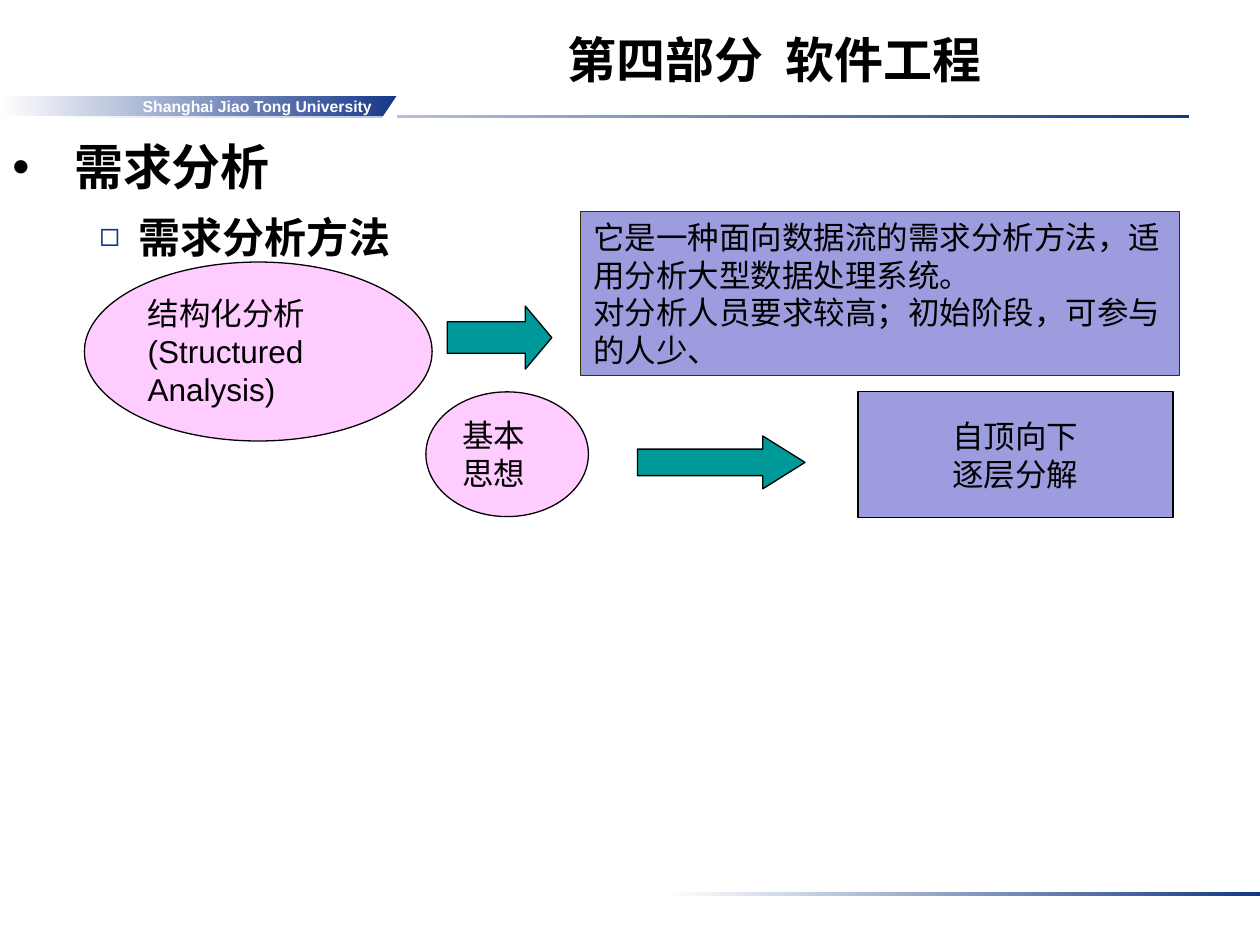
from lxml import etree
from pptx import Presentation
from pptx.dml.color import RGBColor
from pptx.enum.shapes import MSO_SHAPE as Shape
from pptx.enum.text import MSO_ANCHOR as Anchor, MSO_AUTO_SIZE as AutoSize, PP_ALIGN as Align
from pptx.oxml.ns import qn
from pptx.util import Inches, Pt

WHITE = RGBColor(0xFF, 0xFF, 0xFF)
BLACK = RGBColor(0x00, 0x00, 0x00)
NAVY = RGBColor(0x16, 0x38, 0x8A)
RULE_BLUE = RGBColor(0x13, 0x39, 0x84)
PINK = RGBColor(0xFF, 0xCC, 0xFF)
LAVENDER = RGBColor(0x9C, 0x9C, 0xDF)
TEAL = RGBColor(0x00, 0x99, 0x99)
OLIVE = RGBColor(0x33, 0x33, 0x00)

LATIN_FONT = "Arial"
CHINESE_FONT = "Noto Sans CJK SC"


def write(paragraph, text, size=18, bold=False, color=BLACK, font=LATIN_FONT,
          align=Align.LEFT):
    paragraph.alignment = align
    run = paragraph.add_run()
    run.text = text
    run.font.size = Pt(size)
    run.font.bold = bold
    run.font.color.rgb = color
    run.font.name = font
    east_asian = etree.SubElement(run.font._element, qn("a:ea"))
    east_asian.set("typeface", CHINESE_FONT)


def write_lines(frame, lines, anchor=Anchor.TOP, wrap=True, **text_format):
    frame.word_wrap = wrap
    frame.vertical_anchor = anchor
    for index, line in enumerate(lines):
        paragraph = frame.add_paragraph() if index else frame.paragraphs[0]
        write(paragraph, line, **text_format)


def add_figure(slide, kind, box, fill, line=BLACK):
    shape = slide.shapes.add_shape(kind, *map(Inches, box))
    shape.shadow.inherit = False
    shape.fill.solid()
    shape.fill.fore_color.rgb = fill
    if line is None:
        shape.line.fill.background()
    else:
        shape.line.color.rgb = line
        shape.line.width = Pt(0.75)
    return shape


def add_fading_bar(slide, box, color):
    """Add a bar that runs from white on the left to the given colour."""
    shape = add_figure(slide, Shape.RECTANGLE, box, color, line=None)
    shape.fill.gradient()
    shape.fill.gradient_angle = 0
    for stop, stop_color, position in zip(shape.fill.gradient_stops, (WHITE, color), (0, 1)):
        stop.color.rgb = stop_color
        stop.position = position
    return shape


def add_arrow(slide, box, head):
    arrow = add_figure(slide, Shape.RIGHT_ARROW, box, TEAL)
    arrow.adjustments[0] = 0.5
    arrow.adjustments[1] = head


def add_frame_decoration(slide):
    add_fading_bar(slide, (0.31, 0.91, 9.13, 0.03), RULE_BLUE)
    add_fading_bar(slide, (5.28, 7.08, 4.72, 0.03), RULE_BLUE)
    banner = add_fading_bar(slide, (0, 0.76, 3.15, 0.16), NAVY)
    banner.text_frame.margin_right = Inches(0.2)
    write_lines(banner.text_frame, ["Shanghai Jiao Tong University"], Anchor.MIDDLE,
                wrap=False, size=9, bold=True, color=WHITE, align=Align.RIGHT)
    corner = add_figure(slide, Shape.RIGHT_TRIANGLE, (3.03, 0.76, 0.12, 0.18), WHITE, line=None)
    corner._element.spPr.xfrm.set("flipH", "1")


def set_title(slide, text):
    title = slide.shapes.title
    title.left, title.top, title.width, title.height = map(Inches, (2.59, 0, 7.11, 0.75))
    title.text_frame.auto_size = AutoSize.NONE
    write_lines(title.text_frame, [text], Anchor.BOTTOM, size=28, bold=True,
                align=Align.CENTER)


def set_bullet(paragraph, mark, color, left, hanging, percent=100):
    properties = paragraph._element.get_or_add_pPr()
    properties.set("marL", str(Inches(left)))
    properties.set("indent", str(-Inches(hanging)))
    bullet_color = etree.SubElement(properties, qn("a:buClr"))
    etree.SubElement(bullet_color, qn("a:srgbClr")).set("val", str(color))
    etree.SubElement(properties, qn("a:buSzPct")).set("val", str(percent * 1000))
    etree.SubElement(properties, qn("a:buFont")).set("typeface", LATIN_FONT)
    etree.SubElement(properties, qn("a:buChar")).set("char", mark)


def add_outline(slide):
    frame = slide.shapes.add_textbox(*map(Inches, (0, 0.99, 9.25, 5.7))).text_frame
    frame.word_wrap = True
    topic = frame.paragraphs[0]
    subtopic = frame.add_paragraph()
    subtopic.level = 1
    subtopic.space_before = Pt(6)
    topic.line_spacing = subtopic.line_spacing = 1.1
    set_bullet(topic, "•", BLACK, 0.49, 0.49)
    set_bullet(subtopic, "◻", NAVY, 1, 0.31, percent=80)
    write(topic, "需求分析", size=28, bold=True)
    write(subtopic, "需求分析方法", size=24, bold=True, font=CHINESE_FONT)


def add_method_diagram(slide):
    idea = add_figure(slide, Shape.OVAL, (3.38, 3.11, 1.29, 0.99), PINK)
    write_lines(idea.text_frame, ["基本思想"])

    approach = add_figure(slide, Shape.RECTANGLE, (6.81, 3.11, 2.5, 1), LAVENDER)
    write_lines(approach.text_frame, ["自顶向下", "逐层分解"], Anchor.MIDDLE,
                wrap=False, align=Align.CENTER)

    description = add_figure(slide, Shape.RECTANGLE, (4.61, 1.68, 4.75, 1.3), LAVENDER, OLIVE)
    write_lines(description.text_frame, [
        "它是一种面向数据流的需求分析方法，适用分析大型数据处理系统。",
        "对分析人员要求较高；初始阶段，可参与的人少、",
    ])

    add_arrow(slide, (3.55, 2.43, 0.83, 0.5), head=0.42)
    add_arrow(slide, (5.06, 3.46, 1.33, 0.42), head=0.8)

    method = add_figure(slide, Shape.OVAL, (0.67, 2.08, 2.76, 1.42), PINK)
    write_lines(method.text_frame, ["结构化分析(Structured Analysis)"])


def main():
    presentation = Presentation()
    presentation.slide_width = Inches(10)
    presentation.slide_height = Inches(7.5)
    slide = presentation.slides.add_slide(presentation.slide_layouts[5])
    add_frame_decoration(slide)
    set_title(slide, "第四部分  软件工程")
    add_outline(slide)
    add_method_diagram(slide)
    presentation.save("out.pptx")


if __name__ == "__main__":
    main()
